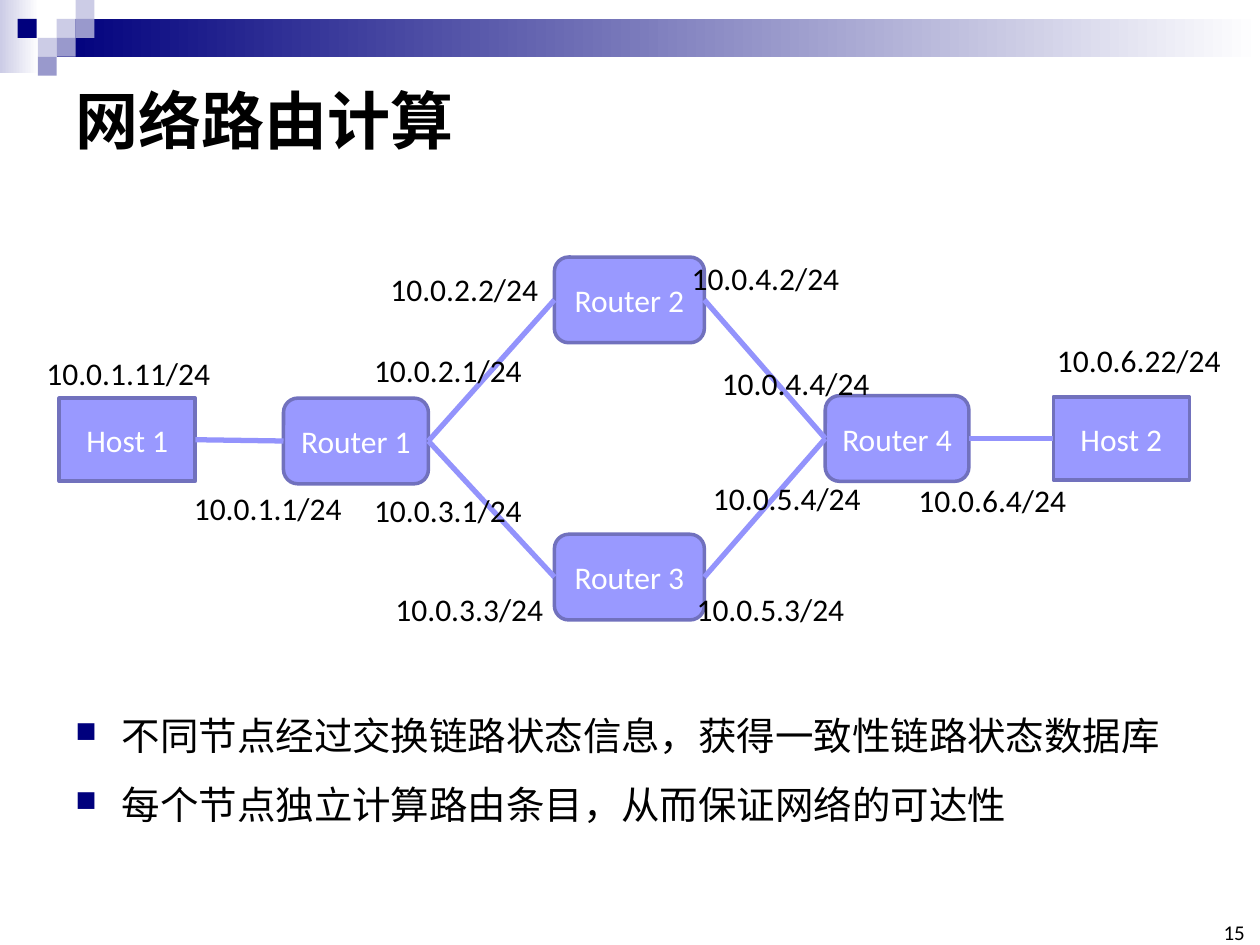
from dataclasses import dataclass
from typing import Any, NamedTuple

from lxml import etree
from pptx import Presentation
from pptx.dml.color import RGBColor
from pptx.enum.shapes import MSO_CONNECTOR, MSO_SHAPE
from pptx.enum.text import MSO_ANCHOR, MSO_AUTO_SIZE, PP_ALIGN
from pptx.oxml.ns import qn
from pptx.util import Inches, Pt

RECT, ROUND = MSO_SHAPE.RECTANGLE, MSO_SHAPE.ROUNDED_RECTANGLE
LEFT, MID, RIGHT = PP_ALIGN.LEFT, PP_ALIGN.CENTER, PP_ALIGN.RIGHT
TOP, CENTER, BOTTOM = MSO_ANCHOR.TOP, MSO_ANCHOR.MIDDLE, MSO_ANCHOR.BOTTOM
STRAIGHT = MSO_CONNECTOR.STRAIGHT
NO_FIT = MSO_AUTO_SIZE.NONE
WEST, EAST = 1, 3  # connection sites of a box


@dataclass(frozen=True)
class Theme:
    """Colours, font and type sizes."""
    font: str = "Calibri"
    ink: str = "000000"
    paper: str = "FFFFFF"
    navy: str = "00007D"
    pale: str = "CCCCE6"
    mauve: str = "9999CC"
    node: str = "9999FF"
    edge: str = "7171BD"
    link: str = "9393FC"
    title: int = 36
    body: int = 22
    label: int = 18
    page: int = 12


class Node(NamedTuple):
    """A host or router."""
    name: str
    x: float
    y: float
    w: float
    h: float
    kind: Any


class Link(NamedTuple):
    """A line between sites of two nodes."""
    start: str
    exit: int
    end: str
    entry: int


class Label(NamedTuple):
    """An interface address."""
    text: str
    x: float
    y: float
    w: float = 1.39


class Tile(NamedTuple):
    """A small square of the banner."""
    x: float
    y: float
    color: str


THEME = Theme()
UNIT = 0.15
TILES = [
    Tile(0.45, UNIT, THEME.pale), Tile(0.6, 0, THEME.pale),
    Tile(0.6, UNIT, THEME.mauve), Tile(0.3, 2 * UNIT, THEME.pale),
    Tile(0.14, UNIT, THEME.navy), Tile(0.45, 2 * UNIT, THEME.mauve),
    Tile(0.3, 3 * UNIT, THEME.mauve),
]
NODES = [
    Node("Host 1", 0.47, 3.16, 1.08, 0.66, RECT),
    Node("Host 2", 8.36, 3.15, 1.08, 0.66, RECT),
    Node("Router 1", 2.25, 3.16, 1.15, 0.68, ROUND),
    Node("Router 2", 4.4, 2.04, 1.19, 0.68, ROUND),
    Node("Router 3", 4.4, 4.24, 1.19, 0.68, ROUND),
    Node("Router 4", 6.55, 3.14, 1.14, 0.68, ROUND),
]
LINKS = [
    Link("Host 1", EAST, "Router 1", WEST),
    Link("Router 4", EAST, "Host 2", WEST),
    Link("Router 1", EAST, "Router 2", WEST),
    Link("Router 1", EAST, "Router 3", WEST),
    Link("Router 4", WEST, "Router 2", EAST),
    Link("Router 4", WEST, "Router 3", EAST),
]
LABELS = [
    Label("10.0.1.11/24", 0.27, 2.76, 1.51), Label("10.0.6.22/24", 8.29, 2.66, 1.51),
    Label("10.0.1.1/24", 1.44, 3.83), Label("10.0.2.1/24", 2.87, 2.74),
    Label("10.0.3.1/24", 2.87, 3.85), Label("10.0.2.2/24", 3, 2.09),
    Label("10.0.4.4/24", 5.63, 2.84), Label("10.0.5.4/24", 5.56, 3.75),
    Label("10.0.6.4/24", 7.19, 3.77), Label("10.0.3.3/24", 3.04, 4.63),
    Label("10.0.5.3/24", 5.43, 4.63), Label("10.0.4.2/24", 5.39, 2.01),
]
POINTS = ["不同节点经过交换链路状态信息，获得一致性链路状态数据库",
          "每个节点独立计算路由条目，从而保证网络的可达性"]


def apply(target: Any, values: dict[str, Any]) -> None:
    """Set each attribute in values on the target."""
    for name, value in values.items():
        setattr(target, name, value)


def place(shape: Any, x: float, y: float, w: float, h: float) -> None:
    """Move and size a shape, in inches."""
    apply(shape, dict(left=Inches(x), top=Inches(y), width=Inches(w), height=Inches(h)))


def write(shape: Any, lines: list[str], size: int, color: str = THEME.ink,
          align: Any = LEFT, bold: bool = False, **frame: Any) -> None:
    """Fill a shape with styled paragraphs."""
    apply(shape.text_frame, frame)
    shape.text_frame.text = "\n".join(lines)
    for para in shape.text_frame.paragraphs:
        para.alignment = align
        for run in para.runs:
            apply(run.font, dict(name=THEME.font, size=Pt(size), bold=bold))
            run.font.color.rgb = RGBColor.from_string(color)


def add_box(slide: Any, kind: Any, x: float, y: float, w: float, h: float,
            fill: str, fade: bool = False) -> Any:
    """Add a plain shape, solid or fading to white."""
    box = slide.shapes.add_shape(kind, Inches(x), Inches(y), Inches(w), Inches(h))
    box.shadow.inherit = False
    box.line.fill.background()
    if fade:
        box.fill.gradient()
        box.fill.gradient_angle = 0
        for stop, color in zip(box.fill.gradient_stops, (fill, THEME.paper)):
            stop.color.rgb = RGBColor.from_string(color)
    else:
        box.fill.solid()
        box.fill.fore_color.rgb = RGBColor.from_string(fill)
    return box


def add_node(slide: Any, node: Node) -> Any:
    """Add a named host or router."""
    box = add_box(slide, node.kind, node.x, node.y, node.w, node.h, THEME.node)
    box.line.color.rgb = RGBColor.from_string(THEME.edge)
    box.line.width = Pt(2)
    write(box, [node.name], THEME.label, THEME.paper, MID,
          vertical_anchor=CENTER, word_wrap=True)
    return box


def add_link(slide: Any, link: Link, boxes: dict[str, Any]) -> None:
    """Join two nodes with a line."""
    line = slide.shapes.add_connector(STRAIGHT, 0, 0, 0, 0)
    line.begin_connect(boxes[link.start], link.exit)
    line.end_connect(boxes[link.end], link.entry)
    line.line.color.rgb = RGBColor.from_string(THEME.link)
    line.line.width = Pt(3)
    etree.SubElement(line._element.spPr, qn("a:effectLst"))


def add_text(slide: Any, x: float, y: float, w: float, h: float,
             lines: list[str], size: int, **style: Any) -> Any:
    """Add a text box."""
    box = slide.shapes.add_textbox(Inches(x), Inches(y), Inches(w), Inches(h))
    write(box, lines, size, **style)
    return box


def add_bullet(para: Any) -> None:
    """Give a paragraph a square bullet and a hanging indent."""
    para.line_spacing = 1.5
    props = para._p.get_or_add_pPr()
    props.set("marL", str(Inches(0.37)))
    props.set("indent", str(-Inches(0.37)))
    tint = etree.SubElement(props, qn("a:buClr"))
    etree.SubElement(tint, qn("a:srgbClr"), val=THEME.navy)
    etree.SubElement(props, qn("a:buSzPct"), val="75000")
    etree.SubElement(props, qn("a:buChar"), char="■")


def build() -> None:
    """Build and save the slide."""
    deck = Presentation()
    apply(deck, dict(slide_width=Inches(10), slide_height=Inches(7.5)))
    slide = deck.slides.add_slide(deck.slide_layouts[5])
    add_box(slide, RECT, 0, 0, 0.31, 0.58, THEME.pale, fade=True)
    add_box(slide, RECT, 0.45, UNIT, 9.55, 2 * UNIT, THEME.navy, fade=True)
    for tile in TILES:
        add_box(slide, RECT, tile.x, tile.y, UNIT, UNIT, tile.color)
    title = slide.shapes.title
    place(title, 0.5, 0.5, 9, 0.89)
    write(title, ["网络路由计算"], THEME.title, bold=True,
          vertical_anchor=CENTER, auto_size=NO_FIT)
    add_text(slide, 9.65, 7.33, 0.23, 0.17, ["15"], THEME.page, align=RIGHT,
             vertical_anchor=BOTTOM, word_wrap=True, margin_left=0,
             margin_right=0, margin_top=0, margin_bottom=0)
    boxes = {node.name: add_node(slide, node) for node in NODES}
    for link in LINKS:
        add_link(slide, link, boxes)
    for label in LABELS:
        add_text(slide, label.x, label.y, label.w, 0.4, [label.text],
                 THEME.label, word_wrap=False)
    body = add_text(slide, 0.5, 5.42, 9, 1.66, POINTS, THEME.body,
                    word_wrap=True, vertical_anchor=TOP)
    for para in body.text_frame.paragraphs:
        add_bullet(para)
    deck.save("out.pptx")


build()
